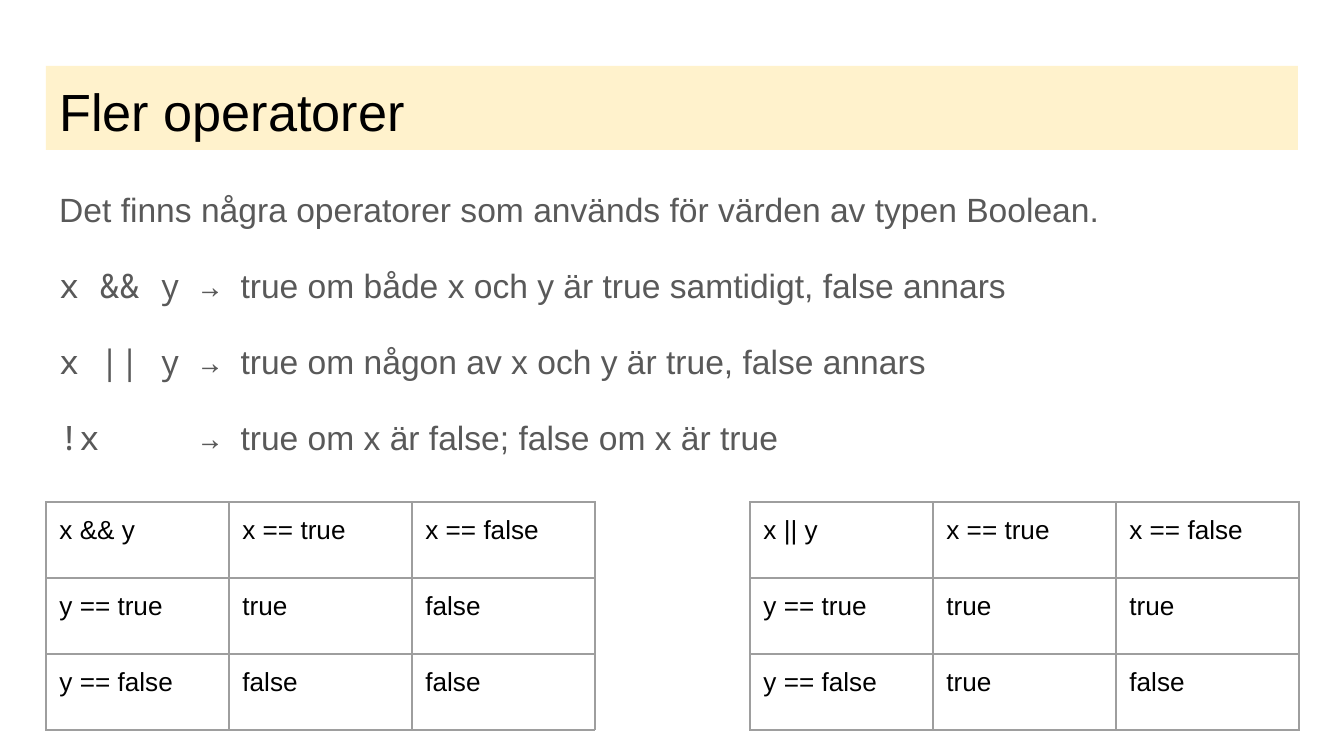
"""Build the slide on Boolean operators with their two truth tables."""
from dataclasses import dataclass

from lxml import etree
from pptx import Presentation
from pptx.dml.color import RGBColor
from pptx.enum.text import MSO_ANCHOR, MSO_AUTO_SIZE, PP_ALIGN
from pptx.oxml.ns import qn
from pptx.util import Pt

TOP = MSO_ANCHOR.TOP
NO_FIT = MSO_AUTO_SIZE.NONE
LEFT = PP_ALIGN.LEFT
TITLE_ONLY = 5
EMU_PER_PX = 914400 / 134.4


@dataclass
class Theme:
    banner: str = "FFF2CC"
    ink: str = "000000"
    muted: str = "595959"
    grid: str = "9E9E9E"
    sans: str = "Arial"
    mono: str = "Noto Sans Mono"
    title_size: int = 28
    body_size: int = 18
    cell_size: int = 14
    grid_width: float = 0.75


def px(length):
    return round(length * EMU_PER_PX)


def add_run(paragraph, text, font, size, color):
    run = paragraph.add_run()
    run.text = text
    run.font.name = font
    run.font.size = Pt(size)
    run.font.bold = False
    run.font.color.rgb = RGBColor.from_string(color)


theme = Theme()
margin, content_width, inset = 46, 1252, px(13.44)
frame_format = {
    "margin_left": inset, "margin_right": inset,
    "margin_top": inset, "margin_bottom": inset,
    "vertical_anchor": TOP, "word_wrap": True, "auto_size": NO_FIT,
}
cell_format = {
    "margin_left": inset, "margin_right": inset,
    "margin_top": inset, "margin_bottom": inset,
    "vertical_anchor": TOP,
}

deck = Presentation()
deck.slide_width, deck.slide_height = px(1344), px(756)
slide = deck.slides.add_slide(deck.slide_layouts[TITLE_ONLY])

heading = slide.shapes.title
heading.left, heading.top = px(margin), px(66)
heading.width, heading.height = px(content_width), px(84)
heading.fill.solid()
heading.fill.fore_color.rgb = RGBColor.from_string(theme.banner)
explanation = slide.shapes.add_textbox(
    px(margin), px(169), px(content_width), px(313))
for block in (heading, explanation):
    for name, value in frame_format.items():
        setattr(block.text_frame, name, value)

heading_line = heading.text_frame.paragraphs[0]
heading_line.alignment = LEFT
add_run(heading_line, "Fler operatorer", theme.sans, theme.title_size, theme.ink)

statements = [
    ("", "Det finns några operatorer som används för värden av typen Boolean."),
    ("x && y\t→ ", "true om både x och y är true samtidigt, false annars"),
    ("x || y\t→ ", "true om någon av x och y är true, false annars"),
    ("!x\t→ ", "true om x är false; false om x är true"),
]
for index, (expression, meaning) in enumerate(statements):
    frame = explanation.text_frame
    line = frame.add_paragraph() if index else frame.paragraphs[0]
    line.alignment = LEFT
    line.line_spacing = 1.15
    line.space_after = Pt(16)
    if expression:
        tabs = etree.SubElement(line._p.get_or_add_pPr(), qn("a:tabLst"))
        etree.SubElement(tabs, qn("a:tab"), pos=str(px(141)), algn="l")
        add_run(line, expression, theme.mono, theme.body_size, theme.muted)
    add_run(line, meaning, theme.sans, theme.body_size, theme.muted)

truth_tables = [
    (46, [["x && y", "x == true", "x == false"],
          ["y == true", "true", "false"],
          ["y == false", "false", "false"]]),
    (750, [["x || y", "x == true", "x == false"],
           ["y == true", "true", "true"],
           ["y == false", "true", "false"]]),
]
column_width, row_height = 183, 76
for left, rows in truth_tables:
    truth_table = slide.shapes.add_table(
        3, 3, px(left), px(502), px(3 * column_width), px(3 * row_height)).table
    truth_table.first_row = False
    truth_table.horz_banding = False
    for row_index, row in enumerate(rows):
        for column_index, text in enumerate(row):
            cell = truth_table.cell(row_index, column_index)
            for name, value in cell_format.items():
                setattr(cell, name, value)
            add_run(cell.text_frame.paragraphs[0], text,
                    theme.sans, theme.cell_size, theme.ink)
            properties = cell._tc.get_or_add_tcPr()
            for side in ("lnL", "lnR", "lnT", "lnB"):
                edge = etree.SubElement(
                    properties, qn(f"a:{side}"), w=str(Pt(theme.grid_width)))
                paint = etree.SubElement(edge, qn("a:solidFill"))
                etree.SubElement(paint, qn("a:srgbClr"), val=theme.grid)
            cell.fill.background()

deck.save("out.pptx")
